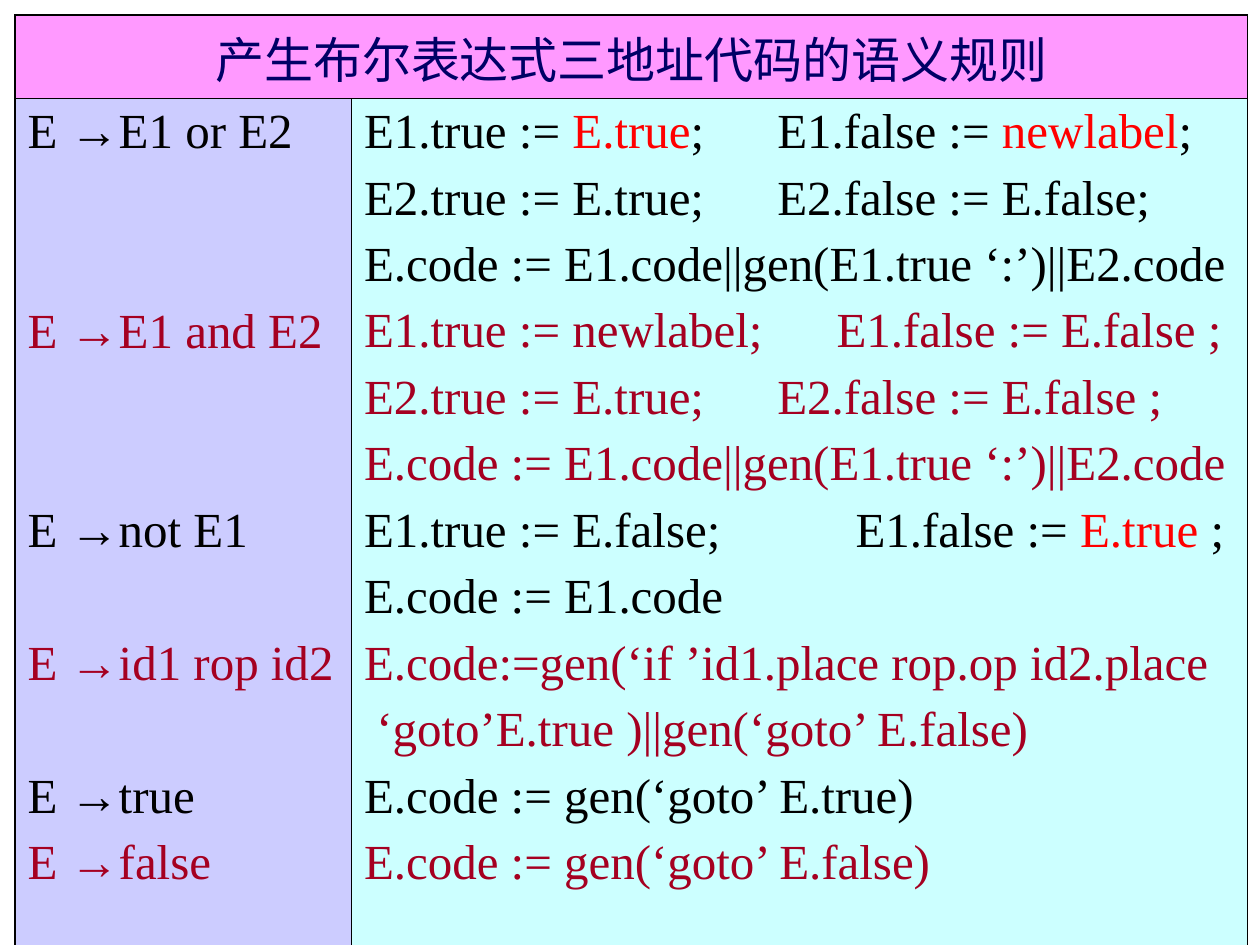
from dataclasses import dataclass

from lxml.etree import SubElement
from pptx import Presentation
from pptx.dml.color import RGBColor
from pptx.enum.text import PP_ALIGN
from pptx.oxml import parse_xml
from pptx.oxml.ns import nsdecls, qn
from pptx.util import Inches, Pt


@dataclass(frozen=True)
class Theme:
    font: str = "Times New Roman"
    size: float = 28
    space_before: float = 7
    line_pitch: float = 38  # one line of text plus the space before it
    title: str = "000066"
    plain: str = "000000"
    alternate: str = "A50021"
    highlight: str = "FF0000"
    title_fill: str = "FF99FF"
    production_fill: str = "CCCCFF"
    rule_fill: str = "CCFFFF"
    border: str = "000000"
    outer: float = 1.08
    inner: float = 0.45


THEME = Theme()
TITLE = "产生布尔表达式三地址代码的语义规则"

# (production, semantic rules); text between ~ marks is highlighted
RULES = [
    ("E →E1 or E2", [
        "E1.true := ~E.true~;\tE1.false := ~newlabel~;",
        "E2.true := E.true;\tE2.false := E.false;",
        "E.code := E1.code||gen(E1.true ‘:’)||E2.code",
    ]),
    ("E →E1 and E2", [
        "E1.true := newlabel;\tE1.false := E.false ;",
        "E2.true := E.true;\tE2.false := E.false ;",
        "E.code := E1.code||gen(E1.true ‘:’)||E2.code",
    ]),
    ("E →not E1", [
        "E1.true := E.false;\tE1.false := ~E.true~ ;",
        "E.code := E1.code",
    ]),
    ("E →id1 rop id2", [
        "E.code:=gen(‘if ’id1.place rop.op id2.place",
        " ‘goto’E.true )||gen(‘goto’ E.false)",
    ]),
    ("E →true", ["E.code := gen(‘goto’ E.true)"]),
    ("E →false", ["E.code := gen(‘goto’ E.false)"]),
]

# Where the second statement starts, by the first statement of its line
SECOND_STATEMENT = {
    "E1.true := newlabel;": 3.75,
    "E1.true := E.false;": 3.9,
}
SECOND_STATEMENT_DEFAULT = 3.28

LEFT, TOP = 0.12, 0.12
COLUMNS = (2.67, 7.11)
ROWS = (0.57, 6.77)


def style_cell(cell, fill, left, top, right, bottom):
    """Fill the cell and draw its four borders, given as widths in points."""
    properties = cell._tc.get_or_add_tcPr()
    for side, width in zip("LRTB", (left, right, top, bottom)):
        properties.append(parse_xml(
            f'<a:ln{side} {nsdecls("a")} w="{Pt(width)}"><a:solidFill>'
            f'<a:srgbClr val="{THEME.border}"/></a:solidFill></a:ln{side}>'))
    cell.fill.solid()
    cell.fill.fore_color.rgb = RGBColor.from_string(fill)


def add_line(frame, text, color, skipped=0):
    """Write the next line, leaving room above for the skipped lines."""
    line = frame.paragraphs[0]
    if line.runs:
        line = frame.add_paragraph()
        line.space_before = Pt(THEME.space_before + skipped * THEME.line_pitch)
    if "\t" in text:
        first = text.split("\t")[0]
        position = SECOND_STATEMENT.get(first, SECOND_STATEMENT_DEFAULT)
        tabs = SubElement(line._p.get_or_add_pPr(), qn("a:tabLst"))
        SubElement(tabs, qn("a:tab"), pos=str(Inches(position)), algn="l")
    for index, part in enumerate(text.split("~")):
        run = line.add_run()
        run.text = part
        run.font.name = THEME.font
        run.font.size = Pt(THEME.size)
        run.font.color.rgb = RGBColor.from_string(
            THEME.highlight if index % 2 else color)
    return line


def main():
    presentation = Presentation()
    presentation.slide_width, presentation.slide_height = Inches(10), Inches(7.5)
    slide = presentation.slides.add_slide(presentation.slide_layouts[6])
    table = slide.shapes.add_table(
        len(ROWS), len(COLUMNS), Inches(LEFT), Inches(TOP),
        Inches(sum(COLUMNS)), Inches(sum(ROWS))).table
    table.first_row = table.horz_banding = False
    for column, width in zip(table.columns, COLUMNS):
        column.width = Inches(width)
    for row, height in zip(table.rows, ROWS):
        row.height = Inches(height)

    outer, inner = THEME.outer, THEME.inner
    heading, heading_rest = table.rows[0].cells
    productions, semantics = table.rows[1].cells
    for cell in (heading, heading_rest):
        style_cell(cell, THEME.title_fill, outer, outer, outer, inner)
    heading.merge(heading_rest)
    style_cell(productions, THEME.production_fill, outer, inner, inner, outer)
    style_cell(semantics, THEME.rule_fill, inner, inner, outer, outer)

    add_line(heading.text_frame, TITLE, THEME.title).alignment = PP_ALIGN.CENTER
    skipped = 0
    for index, (production, statements) in enumerate(RULES):
        color = THEME.alternate if index % 2 else THEME.plain
        add_line(productions.text_frame, production, color, skipped)
        for statement in statements:
            add_line(semantics.text_frame, statement, color)
        skipped = len(statements) - 1

    presentation.save("out.pptx")


if __name__ == "__main__":
    main()
